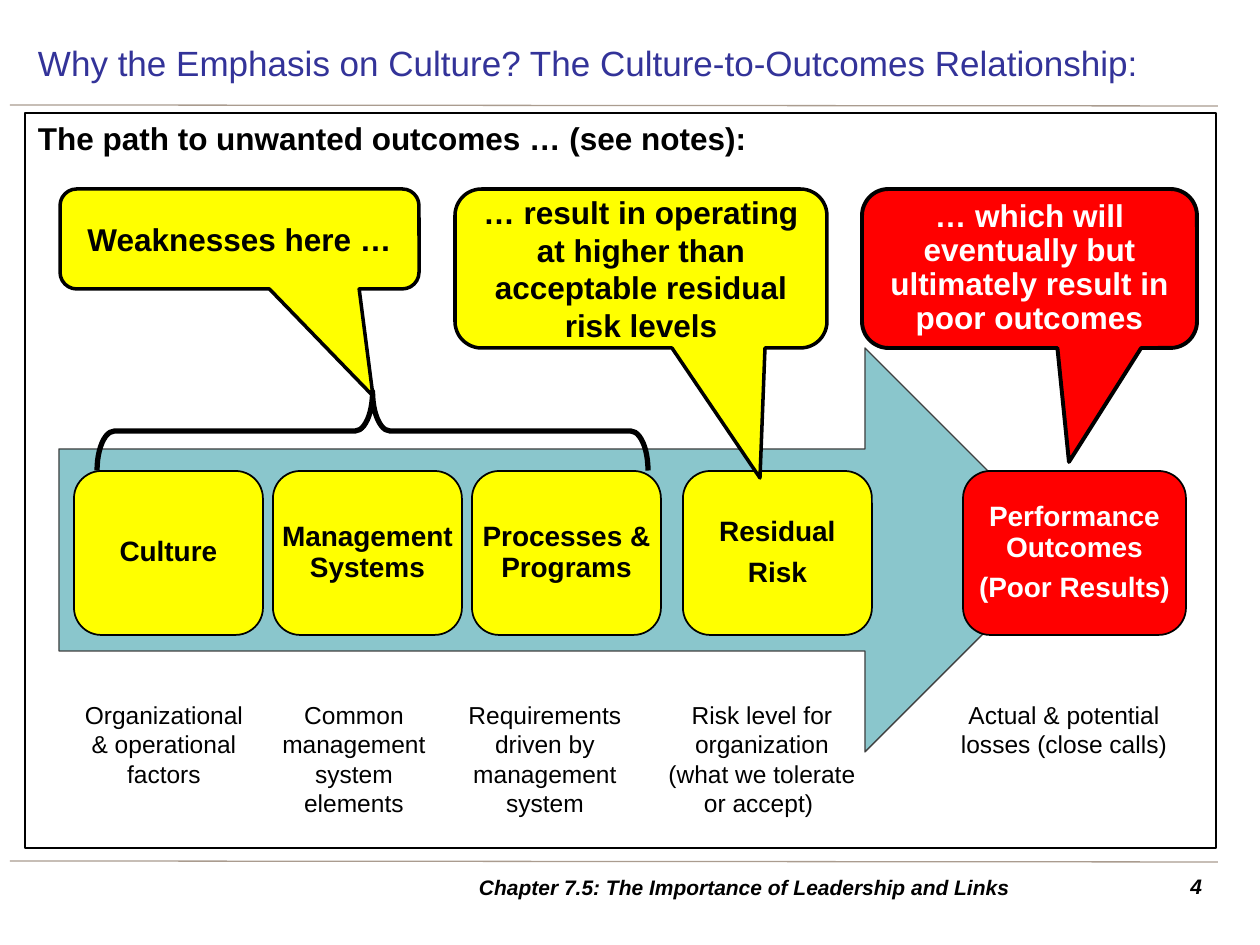
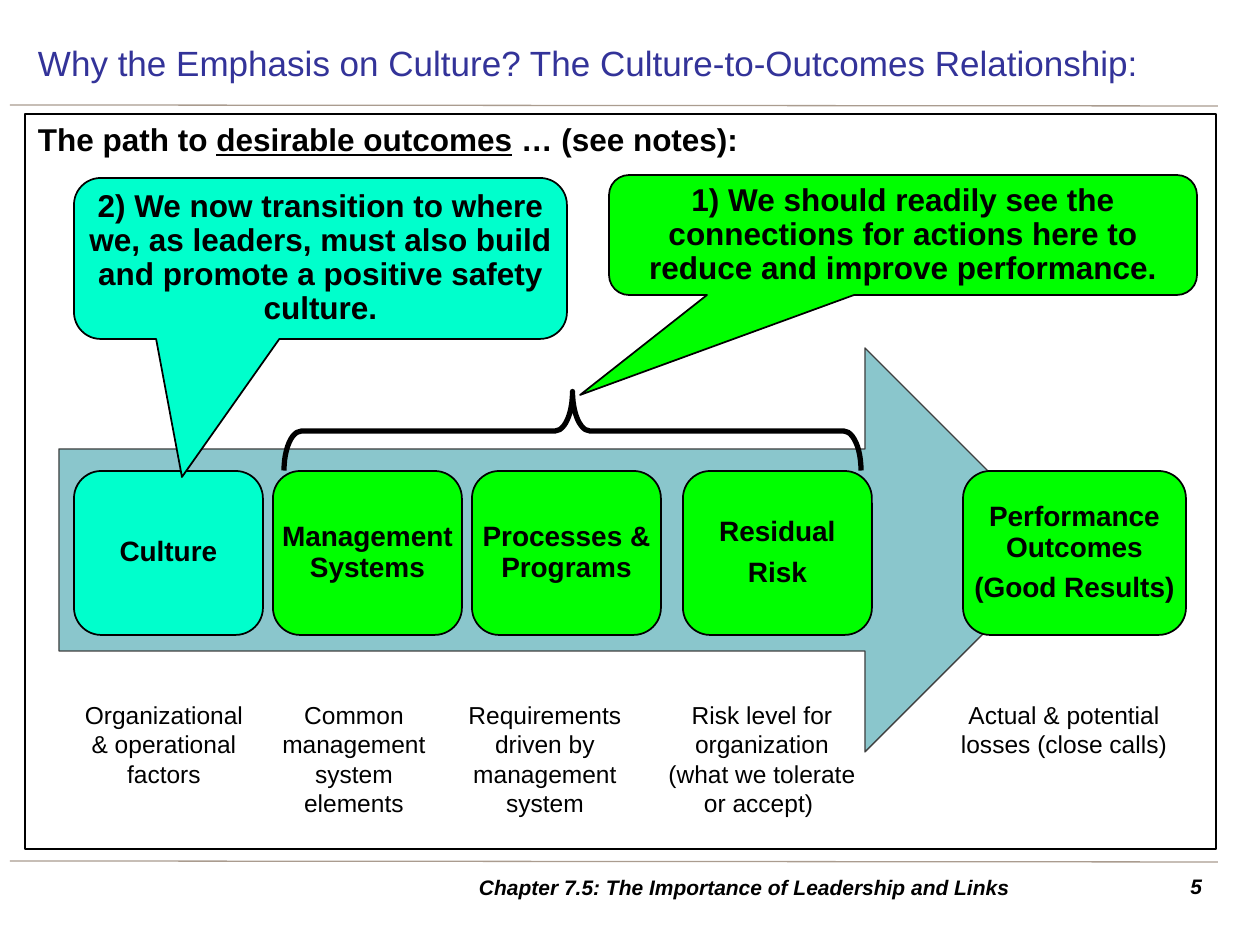
from lxml import etree
from pptx import Presentation
from pptx.dml.color import RGBColor
from pptx.enum.shapes import MSO_CONNECTOR, MSO_SHAPE
from pptx.enum.text import MSO_ANCHOR, PP_ALIGN
from pptx.oxml.ns import qn
from pptx.util import Emu, Pt

LEFT, MID, RIGHT = PP_ALIGN.LEFT, PP_ALIGN.CENTER, PP_ALIGN.RIGHT
TOP, CENTER = MSO_ANCHOR.TOP, MSO_ANCHOR.MIDDLE
RECT, ROUND = MSO_SHAPE.RECTANGLE, MSO_SHAPE.ROUNDED_RECTANGLE
ARROW, BRACE = MSO_SHAPE.RIGHT_ARROW, MSO_SHAPE.LEFT_BRACE
BUBBLE = MSO_SHAPE.ROUNDED_RECTANGULAR_CALLOUT
STRAIGHT = MSO_CONNECTOR.STRAIGHT

SCALE = 914400 / 126
FONT = "Arial"
COLORS = {
    "title": "333399", "rule": "AA9C8F", "arrow": "8AC6CC", "edge": "3F3F3F",
    "black": "000000", "white": "FFFFFF", "yellow": "FFFF00",
    "red": "FF0000", "green": "00FF00", "aqua": "00FFCC",
}
TITLE = "Why the Emphasis on Culture? The Culture-to-Outcomes Relationship:"
FOOTER = "Chapter 7.5: The Importance of Leadership and Links"
WIDE, TIGHT = (13, 6), (5, 5)
STEP = 199
STAGES = [
    (74, 189, ["Culture"]),
    (74 + STEP, 189, ["Management Systems"]),
    (74 + 2 * STEP, 189, ["Processes & Programs"]),
    (683, 189, ["Residual", "Risk"]),
]
NOTES = [
    (63, 202, ["Organizational & operational factors"]),
    (253, 202, ["Common management system elements"]),
    (444, 202, ["Requirements driven by management system"]),
    (645, 234, ["Risk level for organization", "(what we tolerate or accept) "]),
    (941, 246, ["Actual & potential losses (close calls)"]),
]


def px(value):
    return Emu(round(value * SCALE))


def rgb(name):
    return RGBColor.from_string(COLORS[name])


def text(shape, lines, size=18, color="black", bold=False, italic=False,
         align=MID, anchor=CENTER, inset=WIDE, space=1.0, gap=0):
    frame = shape.text_frame
    frame.word_wrap = True
    frame.vertical_anchor = anchor
    frame.margin_left = frame.margin_right = px(inset[0])
    frame.margin_top = frame.margin_bottom = px(inset[1])
    for i, line in enumerate(lines):
        para = frame.add_paragraph() if i else frame.paragraphs[0]
        para.alignment = align
        para.line_spacing = space
        if i and gap:
            para.space_before = Pt(gap)
        for j, part in enumerate(line.split("_")):
            run = para.add_run()
            run.text = part
            font = run.font
            font.name, font.size = FONT, Pt(size)
            font.bold, font.italic = bold, italic
            font.underline = j % 2 == 1
            font.color.rgb = rgb(color)


def label(slide, box, lines, **style):
    text(slide.shapes.add_textbox(*map(px, box)), lines, **style)


def block(slide, kind, box, fill=None, line="black", width=1):
    shape = slide.shapes.add_shape(kind, *map(px, box))
    shape.shadow.inherit = False
    if fill:
        shape.fill.solid()
        shape.fill.fore_color.rgb = rgb(fill)
    else:
        shape.fill.background()
    shape.line.color.rgb = rgb(line)
    shape.line.width = Pt(width)
    return shape


def rule(slide, y):
    line = slide.shapes.add_connector(STRAIGHT, px(10), px(y), px(1218), px(y + 1))
    line.line.color.rgb = rgb("rule")
    line.line.width = Pt(0.75)
    etree.SubElement(line._element.spPr, qn("a:effectLst"))


def stage(slide, x, wide, lines, fill, color="black"):
    shape = block(slide, ROUND, (x, 471, wide, 164), fill)
    text(shape, lines, size=16, color=color, bold=True, inset=(0, 0),
         space=0.9, gap=5.6)


def bubble(slide, box, tip, line, fill, width=1, **style):
    x, y, wide, high = box
    shape = block(slide, BUBBLE, box, fill, width=width)
    shape.adjustments[0] = (tip[0] - x) / wide - 0.5
    shape.adjustments[1] = (tip[1] - y) / high - 0.5
    text(shape, [line], bold=True, **style)


def brace(slide, x, span):
    high, mid = 79, 431
    box = (x + span / 2 - high / 2, mid - span / 2, high, span)
    shape = block(slide, BRACE, box, width=3)
    shape.rotation = 90
    shape.adjustments[0] = 0.22
    shape.adjustments[1] = 0.5


def base(deck, page, top, head, fills, result, ink="black"):
    slide = deck.slides.add_slide(deck.slide_layouts[6])
    rule(slide, 105)
    rule(slide, 861)
    frame = block(slide, RECT, (25, top, 1191, 735), width=0.75)
    text(frame, [head], bold=True, align=LEFT, anchor=TOP)
    label(slide, (25, 25, 1191, 75), [TITLE], size=20, color="title", align=LEFT)
    block(slide, ARROW, (59, 348, 1008, 404), "arrow", "edge", 0.75)
    last = (963, 223, ["Performance Outcomes", result])
    for (x, wide, lines), fill in zip(STAGES + [last], fills):
        stage(slide, x, wide, lines, fill, ink if lines == last[2] else "black")
    for x, wide, lines in NOTES:
        label(slide, (x, 694, wide, 131), lines, size=14, anchor=TOP)
    label(slide, (1142, 868, 73, 39), [str(page)], size=12, bold=True,
          italic=True, align=RIGHT, anchor=TOP)
    label(slide, (372, 868, 745, 39), [FOOTER], size=12, bold=True, italic=True)
    return slide


def main():
    deck = Presentation()
    deck.slide_width, deck.slide_height = px(1260), px(945)

    bad = base(deck, 4, 113, "The path to unwanted outcomes … (see notes):",
               ["yellow"] * 4 + ["red"], "(Poor Results)", "white")
    bubble(bad, (60, 189, 359, 100), (373, 396), "Weaknesses here …", "yellow", 2)
    bubble(bad, (455, 189, 372, 159), (760, 478),
           "… result in operating at higher than acceptable residual risk levels",
           "yellow", 2)
    bubble(bad, (862, 189, 335, 159), (1069, 462),
           "… which will eventually but ultimately result in poor outcomes",
           "red", 2.25, color="white", inset=TIGHT, space=0.9)
    brace(bad, 97, 551)

    good = base(deck, 5, 114, "The path to _desirable outcomes_ … (see notes):",
                ["aqua"] + ["green"] * 4, "(Good Results)")
    bubble(good, (609, 175, 588, 120), (580, 395),
           "1) We should readily see the connections for actions here to "
           "reduce and improve performance.",
           "green", inset=TIGHT, space=0.9)
    brace(good, 284, 577)
    bubble(good, (74, 178, 493, 161), (182, 477),
           "2) We now transition to where we, as leaders, must also build "
           "and promote a positive safety culture.",
           "aqua", inset=TIGHT, space=0.9)
    deck.save("out.pptx")


if __name__ == "__main__":
    main()
